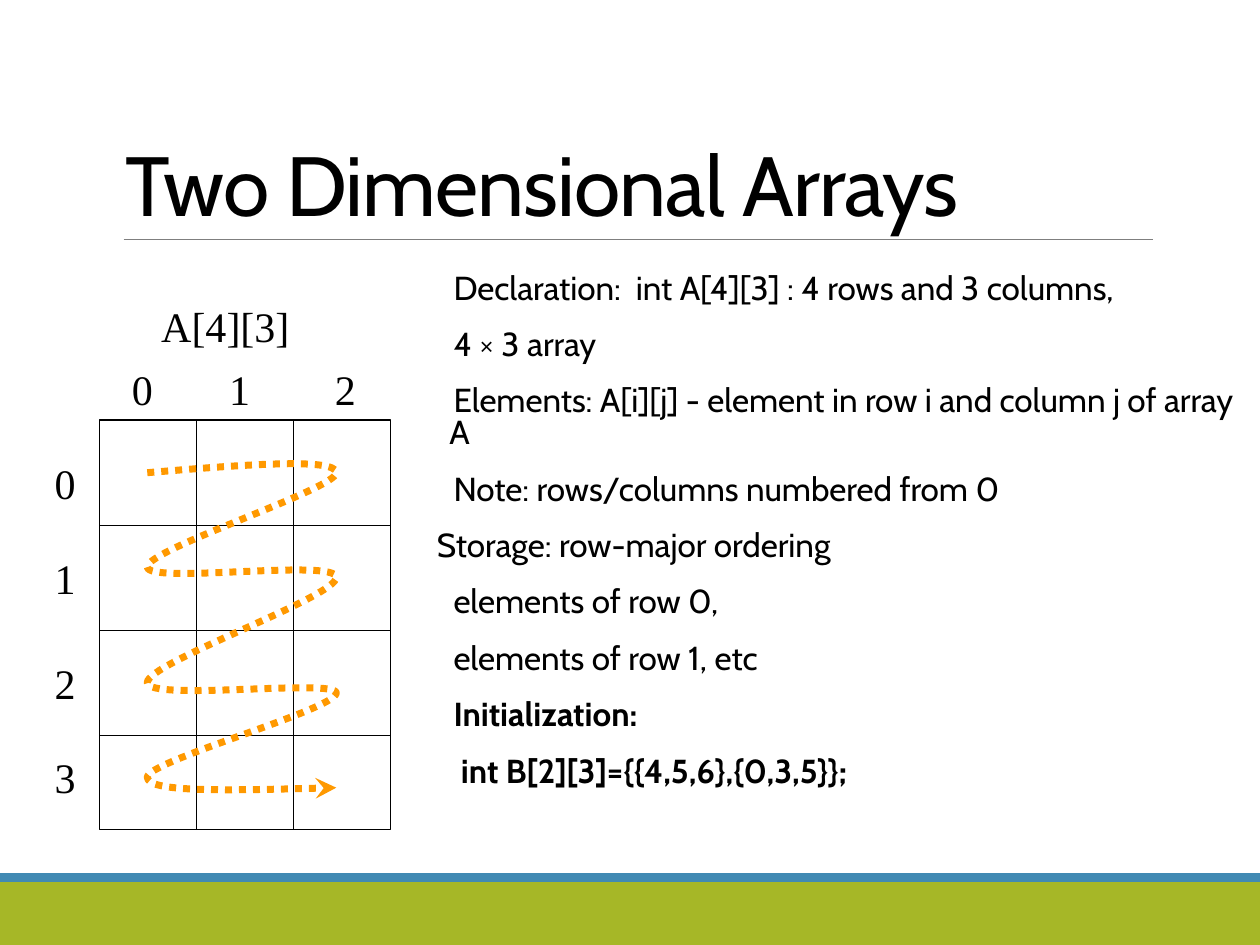
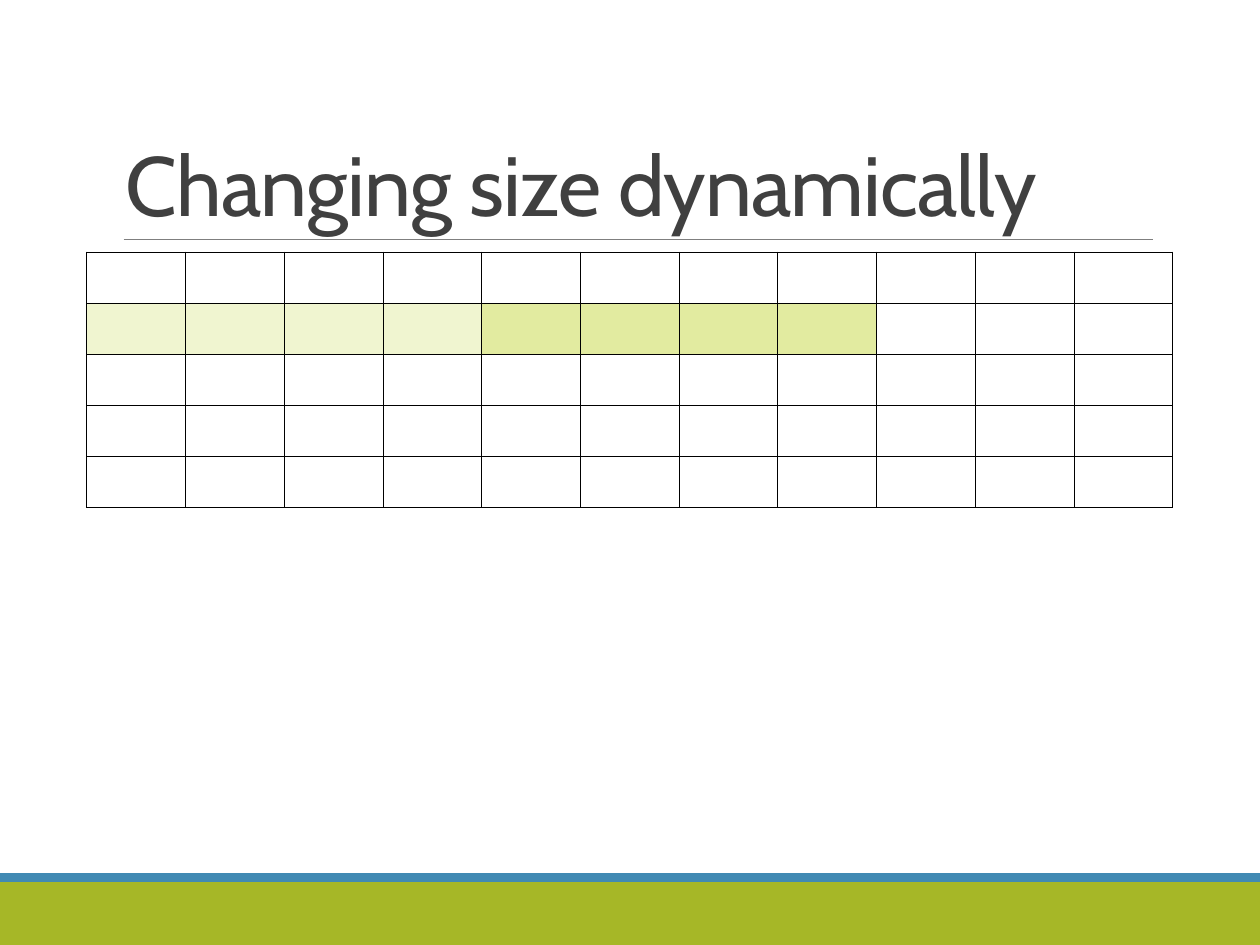
import lxml.etree
import pptx
import pptx.dml.color
import pptx.enum.dml
import pptx.enum.shapes
import pptx.enum.text
import pptx.oxml.ns
import pptx.util

Cm = pptx.util.Cm
Pt = pptx.util.Pt
qn = pptx.oxml.ns.qn
SubElement = lxml.etree.SubElement

COLORS = {
    "black": "000000",
    "title gray": "404040",
    "rule gray": "7F7F7F",
    "green": "A6B727",
    "blue": "418AB3",
    "orange": "FF9900",
    "pale green": "F0F5D0",
    "light green": "E2EBA0",
}
COLORS = {name: pptx.dml.color.RGBColor.from_string(value) for name, value in COLORS.items()}


def add_line(slide, x1, y1, x2, y2, color, width):
    line = slide.shapes.add_connector(
        pptx.enum.shapes.MSO_CONNECTOR.STRAIGHT, Cm(x1), Cm(y1), Cm(x2), Cm(y2))
    line.line.color.rgb = COLORS[color]
    line.line.width = Pt(width)
    SubElement(line._element.spPr, qn("a:effectLst"))


def add_text(slide, left, top, width, height, lines, font, size, color="black"):
    box = slide.shapes.add_textbox(Cm(left), Cm(top), Cm(width), Cm(height))
    frame = box.text_frame
    frame.word_wrap = True
    for index, text in enumerate(lines):
        paragraph = frame.add_paragraph() if index else frame.paragraphs[0]
        run = paragraph.add_run()
        run.text = text
        run.font.name = font
        run.font.size = Pt(size)
        run.font.color.rgb = COLORS[color]
    return frame


presentation = pptx.Presentation()
presentation.slide_width = Cm(25.4)
presentation.slide_height = Cm(19.05)

slides = []
for title, color in [("Two Dimensional Arrays", "black"),
                     ("Changing size dynamically", "title gray")]:
    slide = presentation.slides.add_slide(presentation.slide_layouts[6])
    slides.append(slide)
    for top, height, band_color in [(17.78, 1.27, "green"), (17.6, 0.18, "blue")]:
        band = slide.shapes.add_shape(
            pptx.enum.shapes.MSO_SHAPE.RECTANGLE, 0, Cm(top), Cm(25.4), Cm(height))
        band.shadow.inherit = False
        band.fill.solid()
        band.fill.fore_color.rgb = COLORS[band_color]
        band.line.fill.background()
    add_line(slide, 2.49, 4.83, 23.24, 4.83, "rule gray", 0.5)
    frame = add_text(slide, 2.29, 0.79, 20.95, 4.04, [title], "Cabin", 48, color)
    frame.vertical_anchor = pptx.enum.text.MSO_ANCHOR.BOTTOM
    paragraph = frame.paragraphs[0]
    paragraph.line_spacing = 0.85
    paragraph.runs[0].font._element.set("spc", "-50")

array_slide, resize_slide = slides

notes = [
    "Declaration:  int A[4][3] : 4 rows and 3 columns,",
    "4 × 3 array",
    "Elements: A[i][j] - element in row i and column j of array A",
    "Note: rows/columns numbered from 0",
    "Storage: row-major ordering",
    "elements of row 0,",
    "elements of row 1, etc",
    "Initialization:",
    " int B[2][3]={{4,5,6},{0,3,5}};",
]
frame = add_text(array_slide, 8.81, 5.41, 16.08, 11.18, notes, "Cabin", 19)
frame.margin_left = frame.margin_right = 0
for index, paragraph in enumerate(frame.paragraphs):
    paragraph.line_spacing = 0.8
    paragraph.space_before = Pt(12)
    paragraph.space_after = Pt(2)
    paragraph.runs[0].font.bold = index >= 7
    properties = paragraph._element.get_or_add_pPr()
    properties.set("marL", str(Cm(0.25)))
    properties.set("indent", str(-Cm(0.25)))
    if notes[index].startswith("Storage"):
        SubElement(properties, qn("a:buNone"))
    else:
        SubElement(properties, qn("a:buChar")).set("char", " ")

grid_left, grid_top, grid_right, grid_bottom = 2.01, 8.47, 7.87, 16.72
grid = array_slide.shapes.add_shape(
    pptx.enum.shapes.MSO_SHAPE.RECTANGLE, Cm(grid_left), Cm(grid_top),
    Cm(grid_right - grid_left), Cm(grid_bottom - grid_top))
grid.shadow.inherit = False
grid.fill.background()
grid.line.color.rgb = COLORS["black"]
grid.line.width = Pt(0.75)
for row in range(1, 4):
    y = grid_top + row * 2.12
    add_line(array_slide, grid_left, y, grid_right, y, "black", 0.75)
for column in range(1, 3):
    x = grid_left + column * 1.95
    add_line(array_slide, x, grid_top, x, grid_bottom, "black", 0.75)

labels = [("A[4][3]", 3.0, 5.93, 3.9)]
labels += [(str(row), 0.85, top, 1.2) for row, top in enumerate([9.1, 11.01, 13.12, 15.03])]
labels += [(str(column), left, 7.2, 1.2) for column, left in enumerate([2.41, 4.37, 6.5])]
for text, left, top, width in labels:
    frame = add_text(array_slide, left, top, width, 1.27, [text], "Times New Roman", 24)
    frame.paragraphs[0].space_before = Pt(15)

left, middle, right = 2.97, 4.88, 6.78
storage_order = [
    (left, 9.53),
    (middle, 9.37), (right, 9.22), (right, 9.53),
    (right, 9.86), (left, 11.07), (left, 11.43),
    (left, 11.79), (right, 11.25), (right, 11.64),
    (right, 12.04), (left, 13.36), (left, 13.76),
    (left, 14.15), (right, 13.67), (right, 13.97),
    (right, 14.3), (left, 15.34), (left, 15.67),
    (left, 15.98), (middle, 15.93), (right, 15.88),
]
points = [(Cm(x), Cm(y)) for x, y in storage_order]
builder = array_slide.shapes.build_freeform(*points[0], scale=1.0)
builder.add_line_segments(points[1:], close=False)
arrow = builder.convert_to_shape()
arrow.shadow.inherit = False
arrow.fill.background()
arrow.line.color.rgb = COLORS["orange"]
arrow.line.width = Pt(4)
arrow.line.dash_style = pptx.enum.dml.MSO_LINE.ROUND_DOT
SubElement(arrow._element.spPr.find(qn("a:ln")), qn("a:tailEnd")).set("type", "stealth")
outline = arrow._element.xpath(".//a:path")[0]
segments = outline.findall(qn("a:lnTo"))
for start in range(0, len(segments), 3):
    curve = SubElement(outline, qn("a:cubicBezTo"))
    for segment in segments[start:start + 3]:
        curve.append(segment[0])
        outline.remove(segment)

row_count, column_count = 5, 11
table = resize_slide.shapes.add_table(
    row_count, column_count, Cm(1.75), Cm(5.08), Cm(21.92), Cm(5.15)).table
table.first_row = False
table.horz_banding = False
for column in table.columns:
    column.width = Cm(1.99)
for row in table.rows:
    row.height = Cm(1.03)
for row in range(row_count):
    for column in range(column_count):
        cell = table.cell(row, column)
        properties = cell._tc.get_or_add_tcPr()
        for side in ("a:lnL", "a:lnR", "a:lnT", "a:lnB"):
            border = SubElement(properties, qn(side), w=str(Pt(0.45)))
            fill = SubElement(border, qn("a:solidFill"))
            SubElement(fill, qn("a:srgbClr"), val=str(COLORS["black"]))
        if row == 1 and column < 8:
            cell.fill.solid()
            cell.fill.fore_color.rgb = COLORS["pale green" if column < 4 else "light green"]
        else:
            cell.fill.background()

presentation.save("out.pptx")
